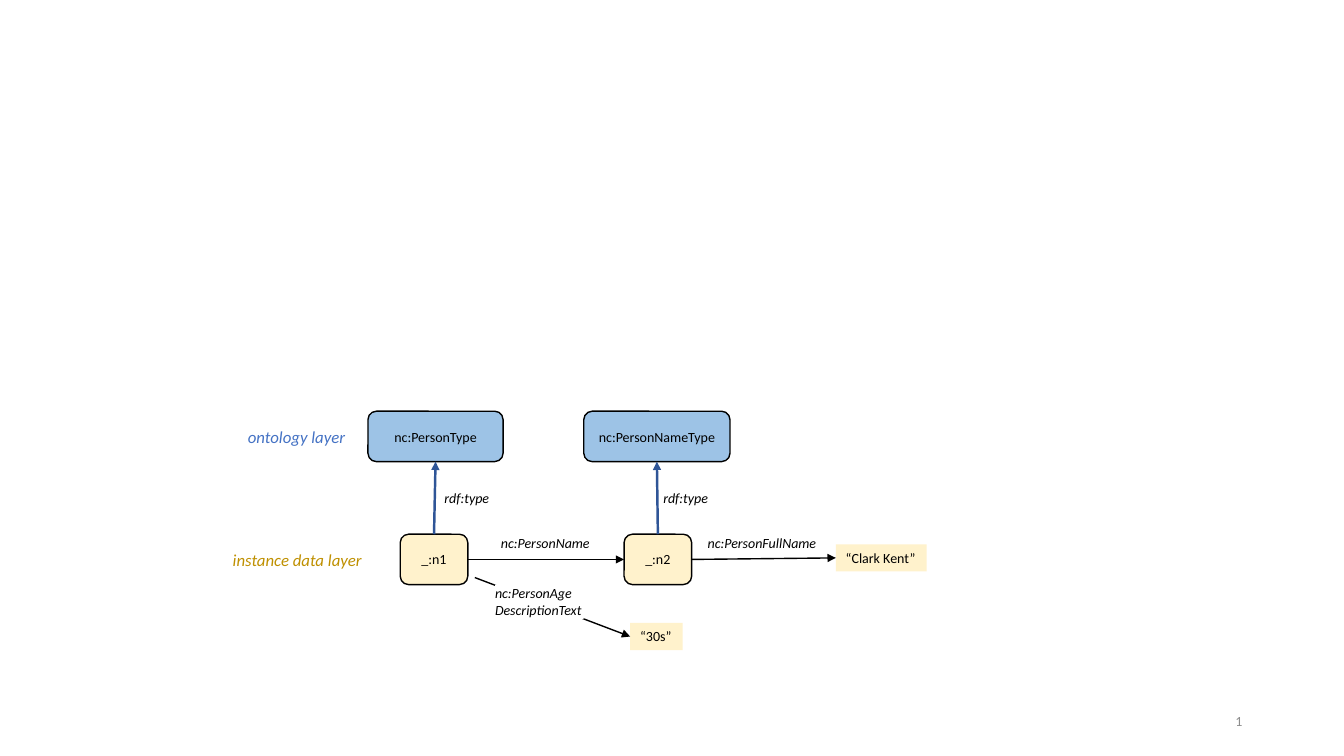
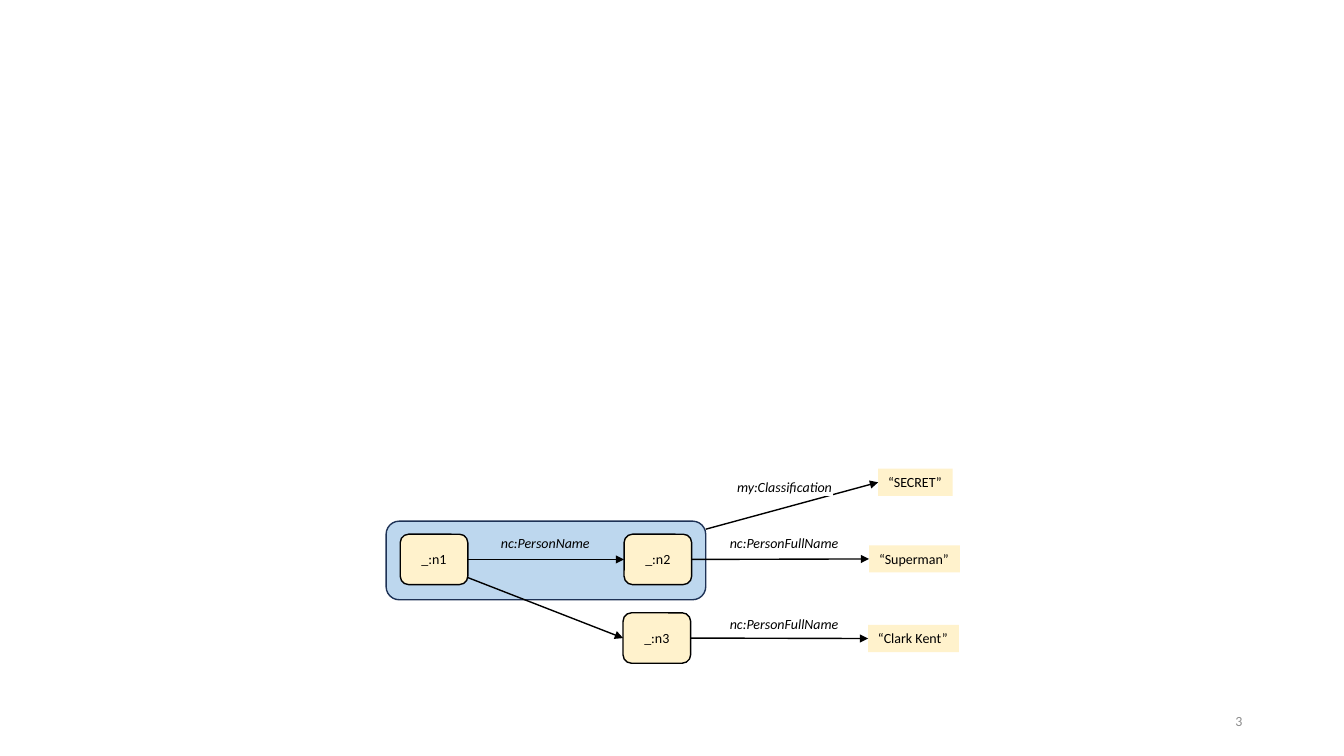
from lxml import etree
from pptx import Presentation
from pptx.dml.color import RGBColor
from pptx.enum.shapes import MSO_CONNECTOR, MSO_SHAPE
from pptx.enum.text import MSO_ANCHOR, MSO_AUTO_SIZE, PP_ALIGN
from pptx.oxml.ns import qn
from pptx.util import Inches, Pt

RECT, ROUND = MSO_SHAPE.RECTANGLE, MSO_SHAPE.ROUNDED_RECTANGLE
STRAIGHT = MSO_CONNECTOR.STRAIGHT
LEFT, CENTER, RIGHT = PP_ALIGN.LEFT, PP_ALIGN.CENTER, PP_ALIGN.RIGHT
TOP, MIDDLE = MSO_ANCHOR.TOP, MSO_ANCHOR.MIDDLE
GROW = MSO_AUTO_SIZE.SHAPE_TO_FIT_TEXT
SITE = {"top": 0, "left": 1, "bottom": 2, "right": 3}

COLORS = {
    "black": "000000", "white": "FFFFFF", "gray": "8C8C8C",
    "class": "9DC3E6", "group": "BDD7EE", "group line": "1E3256",
    "instance": "FFF2CC", "type": "2F5597",
    "ontology": "4472C4", "data": "BF9000",
}

# Box styles: shape, fill, outline, alignment, anchor, grows with its text
BOXES = {
    "group": (ROUND, "group", "group line", CENTER, MIDDLE, False),
    "class": (ROUND, "class", "black", CENTER, MIDDLE, False),
    "node": (ROUND, "instance", "black", CENTER, MIDDLE, False),
    "value": (RECT, "instance", None, LEFT, TOP, True),
    "cover": (RECT, "white", None, LEFT, TOP, True),
}

# Label styles: size, colour
LABELS = {"property": (10, "black"), "ontology": (12, "ontology"), "data": (12, "data")}

# Arrow styles: colour, width
ARROWS = {"type": ("type", 1.75), "property": ("black", 1)}

NODE = (0.67, 0.5)
N1 = ("node", "_:n1", 3.97, 5.3, *NODE)
N2 = ("node", "_:n2", 6.19, 5.3, *NODE)
NAME_LABEL = ("property", "nc:PersonName", 4.87, 5.25, 1.09)
NAME_ARROW = ("property", ("_:n1", "right"), ("_:n2", "left"))

SLIDES = [
    {
        "number": "1",
        "boxes": [
            ("class", "nc:PersonNameType", 5.79, 4.08, 1.45, 0.5),
            ("class", "nc:PersonType", 3.65, 4.08, 1.34, 0.5),
            N1, N2,
            ("value", "“Clark Kent”", 8.29, 5.4, 0.9, 0.27),
            ("value", "“30s”", 6.25, 6.18, 0.52, 0.27),
        ],
        "arrows": [
            ("type", ("_:n1", "top"), ("nc:PersonType", "bottom")),
            ("type", ("_:n2", "top"), ("nc:PersonNameType", "bottom")),
            NAME_ARROW,
            ("property", ("_:n2", "right"), ("“Clark Kent”", "left")),
            ("property", (4.71, 5.73), ("“30s”", "left")),
        ],
        "covers": [("cover", "nc:PersonAge\nDescriptionText", 4.91, 5.8, 0.88, 0.34)],
        "labels": [
            NAME_LABEL,
            ("property", "nc:PersonFullName", 6.92, 5.25, 1.29),
            ("property", "rdf:type", 6.48, 4.81, 0.65),
            ("property", "rdf:type", 4.31, 4.81, 0.65),
            ("ontology", "ontology layer", 2.36, 4.18, 1.17),
            ("data", "instance data layer", 2.21, 5.4, 1.49),
        ],
    },
    {
        "number": "3",
        "boxes": [
            ("group", "", 3.83, 5.17, 3.17, 0.78),
            N1, N2,
            ("node", "_:n3", 6.18, 6.08, *NODE),
            ("value", "“SECRET”", 8.71, 4.65, 0.74, 0.27),
            ("value", "“Superman”", 8.62, 5.41, 0.9, 0.27),
            ("value", "“Clark Kent”", 8.61, 6.2, 0.9, 0.27),
        ],
        "arrows": [
            NAME_ARROW,
            ("property", ("_:n2", "right"), ("“Superman”", "left")),
            ("property", (4.64, 5.73), ("_:n3", "left")),
            ("property", ("_:n3", "right"), ("“Clark Kent”", "left")),
            ("property", (7, 5.25), ("“SECRET”", "left")),
        ],
        "covers": [("cover", "my:Classification", 7.31, 4.75, 0.95, 0.17)],
        "labels": [
            NAME_LABEL,
            ("property", "nc:PersonFullName", 7.14, 5.25, 1.29),
            ("property", "nc:PersonFullName", 7.14, 6.06, 1.29),
        ],
    },
]


def write_text(sp, text, size=10, color="black", italic=False, align=LEFT, anchor=TOP, grow=True):
    """Fill a shape with text; a growing shape keeps its lines unwrapped."""
    tf = sp.text_frame
    tf.text = text
    tf.word_wrap = not grow
    tf.vertical_anchor = anchor
    if grow:
        tf.auto_size = GROW
    font_format = {"name": "Calibri", "size": Pt(size), "italic": italic}
    for p in tf.paragraphs:
        p.alignment = align
        for name, value in font_format.items():
            setattr(p.font, name, value)
        for r in p.runs:
            for name, value in font_format.items():
                setattr(r.font, name, value)
            r.font.color.rgb = RGBColor.from_string(COLORS[color])


def add_box(s, style, text, x, y, w, h):
    shape, fill, outline, align, anchor, grow = BOXES[style]
    sp = s.shapes.add_shape(shape, Inches(x), Inches(y), Inches(w), Inches(h))
    sp.shadow.inherit = False
    sp.fill.solid()
    sp.fill.fore_color.rgb = RGBColor.from_string(COLORS[fill])
    if outline:
        sp.line.color.rgb = RGBColor.from_string(COLORS[outline])
        sp.line.width = Pt(1)
    else:
        sp.line.fill.background()
    if style == "cover":
        for side in ("left", "top", "right", "bottom"):
            setattr(sp.text_frame, f"margin_{side}", 0)
    if text:
        write_text(sp, text, italic=style == "cover", align=align, anchor=anchor, grow=grow)
    return sp


prs = Presentation()
prs.slide_width, prs.slide_height = Inches(13.33), Inches(7.5)
blank = prs.slide_layouts[6]

for content in SLIDES:
    s = prs.slides.add_slide(blank)
    boxes = {box[1]: add_box(s, *box) for box in content["boxes"]}

    for style, start, end in content["arrows"]:
        color, width = ARROWS[style]
        line = s.shapes.add_connector(STRAIGHT, 0, 0, 0, 0)
        if start[0] in boxes:
            line.begin_connect(boxes[start[0]], SITE[start[1]])
        else:
            line.begin_x, line.begin_y = Inches(start[0]), Inches(start[1])
        line.end_connect(boxes[end[0]], SITE[end[1]])
        line.line.color.rgb = RGBColor.from_string(COLORS[color])
        line.line.width = Pt(width)
        etree.SubElement(line.line._get_or_add_ln(), qn("a:tailEnd"), type="triangle")
        etree.SubElement(line._element.spPr, qn("a:effectLst"))

    for cover in content["covers"]:
        add_box(s, *cover)

    for style, text, x, y, w in content["labels"]:
        size, color = LABELS[style]
        h = 0.27 if size == 10 else 0.3
        sp = s.shapes.add_textbox(Inches(x), Inches(y), Inches(w), Inches(h))
        write_text(sp, text, size, color, italic=True)

    sp = s.shapes.add_textbox(Inches(9.42), Inches(6.95), Inches(3), Inches(0.4))
    write_text(sp, content["number"], color="gray", align=RIGHT, anchor=MIDDLE, grow=False)

prs.save("out.pptx")
